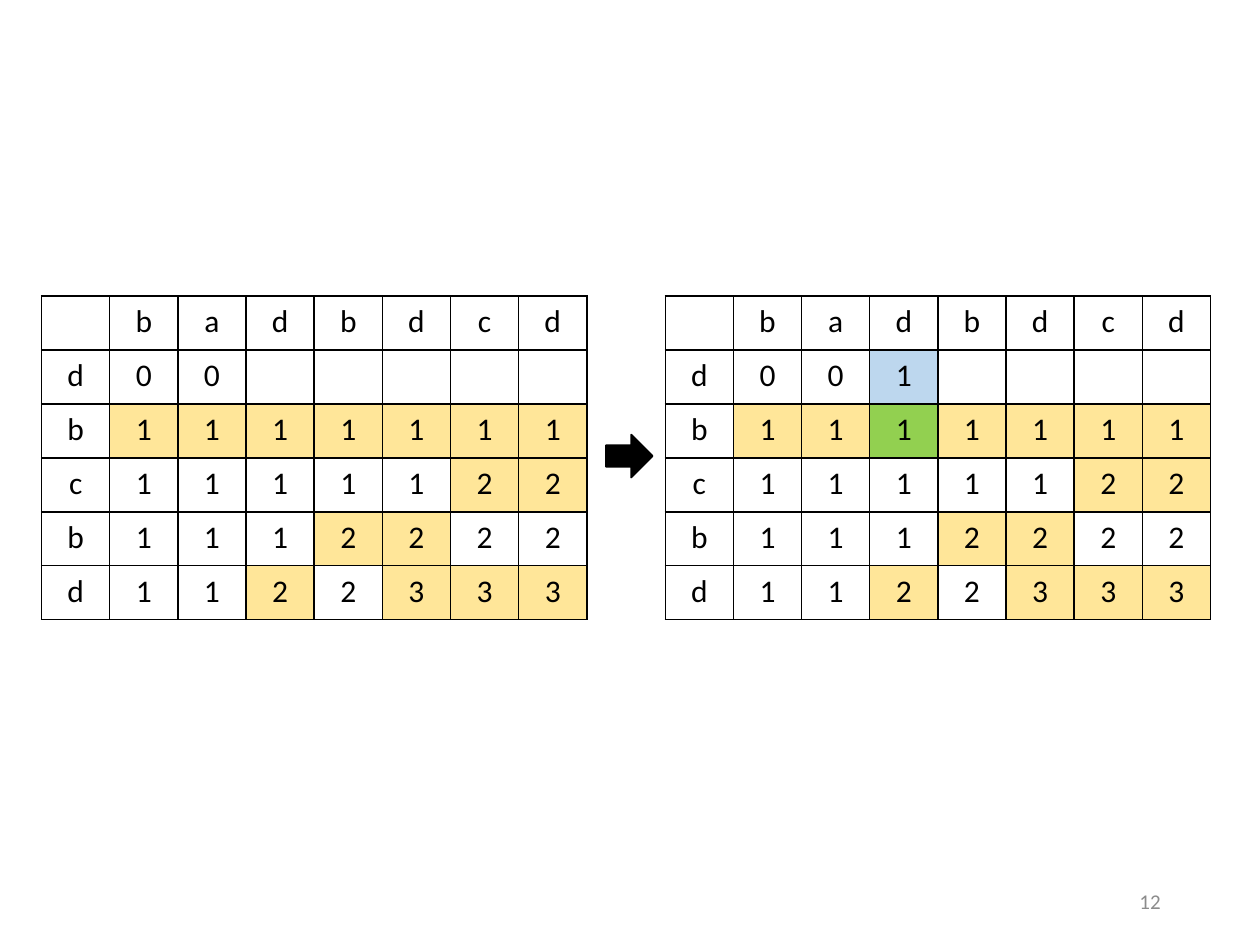
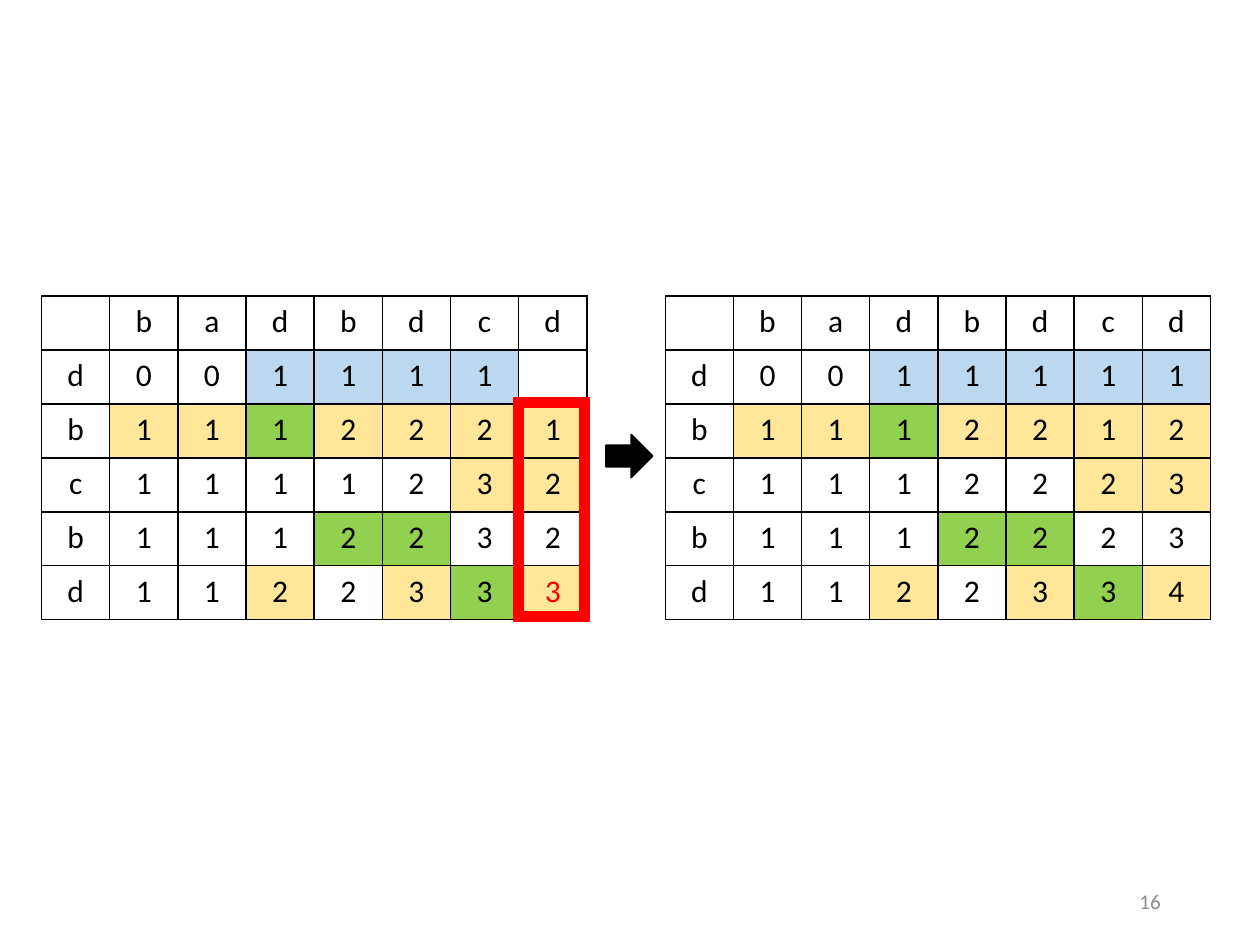
"""Build two slides that step through a longest-common-subsequence table."""
from lxml import etree
from pptx import Presentation
from pptx import util as u
from pptx.dml import color
from pptx.enum import shapes, text
from pptx.oxml import ns

COLORS = {
    "black": "000000", "gray": "8C8C8C", "red": "FF0000",
    "yellow": "FFE699", "green": "92D050", "blue": "BDD7EE",
}
FILL_KEYS = {"y": "yellow", "g": "green", "b": "blue"}
COLUMN_LETTERS = "badbdcd"
ROW_LETTERS = "dbcbd"
TABLE_LEFTS = (23.76, 380.16)
TABLE_TOP = 169.2
COLUMN_WIDTH, ROW_HEIGHT = 38.97, 30.84

STEPS = [
    {
        "number": "12",
        "tables": [
            (["00     ", "1111111", "1111122", "1112222", "1122333"],
             [".......", "yyyyyyy", ".....yy", "...yy..", "..y.yyy"]),
            (["001    ", "1111111", "1111122", "1112222", "1122333"],
             ["..b....", "yygyyyy", ".....yy", "...yy..", "..y.yyy"]),
        ],
    },
    {
        "number": "16",
        "tables": [
            (["001111 ", "1112221", "1111232", "1112232", "1122333"],
             ["..bbbb.", "yygyyyy", ".....yy", "...gg..", "..y.ygy"]),
            (["0011111", "1112212", "1112223", "1112223", "1122334"],
             ["..bbbbb", "yygyyyy", ".....yy", "...gg..", "..y.ygy"]),
        ],
        "red_cell": (5, 7),
        "frame": (293.76, 227.52, 43.2, 127.44),
    },
]


class Deck:
    """Holds the shared style and the slide being drawn."""

    font_name = "Calibri"

    def __init__(self):
        self.presentation = Presentation()
        self.presentation.slide_width = u.Pt(720)
        self.presentation.slide_height = u.Pt(540)
        self.slide = None

    def new_slide(self):
        layout = self.presentation.slide_layouts[6]
        self.slide = self.presentation.slides.add_slide(layout)

    def rgb(self, name):
        return color.RGBColor.from_string(COLORS[name])

    def set_text(self, paragraph, content, size, color_name, alignment):
        paragraph.text = content
        paragraph.alignment = alignment
        values = {"name": self.font_name, "size": u.Pt(size), "bold": False}
        for run in paragraph.runs:
            for attribute, value in values.items():
                setattr(run.font, attribute, value)
            run.font.color.rgb = self.rgb(color_name)

    def page_number(self, number):
        box = self.slide.shapes.add_textbox(u.Pt(508.32), u.Pt(500.4), u.Pt(162), u.Pt(28.8))
        frame = box.text_frame
        frame.word_wrap = True
        frame.vertical_anchor = text.MSO_ANCHOR.MIDDLE
        self.set_text(frame.paragraphs[0], number, 12, "gray", text.PP_ALIGN.RIGHT)

    def border(self, cell):
        properties = cell._tc.get_or_add_tcPr()
        for side in ("a:lnL", "a:lnR", "a:lnT", "a:lnB"):
            line = etree.SubElement(properties, ns.qn(side), w=str(u.Pt(1)))
            fill = etree.SubElement(line, ns.qn("a:solidFill"))
            etree.SubElement(fill, ns.qn("a:srgbClr"), val=COLORS["black"])

    def table(self, left, digits, fills, red_cell=None):
        rows = [" " + COLUMN_LETTERS] + [a + b for a, b in zip(ROW_LETTERS, digits)]
        marks = ["." * len(rows[0])] + ["." + line for line in fills]
        row_count, column_count = len(rows), len(rows[0])
        table = self.slide.shapes.add_table(
            row_count, column_count, u.Pt(left), u.Pt(TABLE_TOP),
            u.Pt(COLUMN_WIDTH * column_count), u.Pt(ROW_HEIGHT * row_count)).table
        table.first_row = table.horz_banding = False
        for column in table.columns:
            column.width = u.Pt(COLUMN_WIDTH)
        for row_index, row in enumerate(table.rows):
            row.height = u.Pt(ROW_HEIGHT)
            for column_index, cell in enumerate(row.cells):
                self.border(cell)
                mark = marks[row_index][column_index]
                if mark in FILL_KEYS:
                    cell.fill.solid()
                    cell.fill.fore_color.rgb = self.rgb(FILL_KEYS[mark])
                else:
                    cell.fill.background()
                font_color = "red" if (row_index, column_index) == red_cell else "black"
                self.set_text(cell.text_frame.paragraphs[0], rows[row_index][column_index].strip(),
                              18, font_color, text.PP_ALIGN.CENTER)

    def shape(self, kind, box, color_name):
        shape = self.slide.shapes.add_shape(kind, *(u.Pt(length) for length in box))
        shape.shadow.inherit = False
        shape.fill.solid()
        shape.fill.fore_color.rgb = self.rgb(color_name)
        shape.line.color.rgb = self.rgb(color_name)
        shape.line.width = u.Pt(1)


def main():
    deck = Deck()
    for step in STEPS:
        deck.new_slide()
        deck.page_number(step["number"])
        before, after = step["tables"]
        deck.table(TABLE_LEFTS[0], *before, red_cell=step.get("red_cell"))
        deck.table(TABLE_LEFTS[1], *after)
        deck.shape(shapes.MSO_SHAPE.RIGHT_ARROW, (346.32, 248.4, 26.64, 24.48), "black")
        if "frame" in step:
            deck.shape(shapes.MSO_SHAPE.FRAME, step["frame"], "red")
    deck.presentation.save("out.pptx")


if __name__ == "__main__":
    main()
